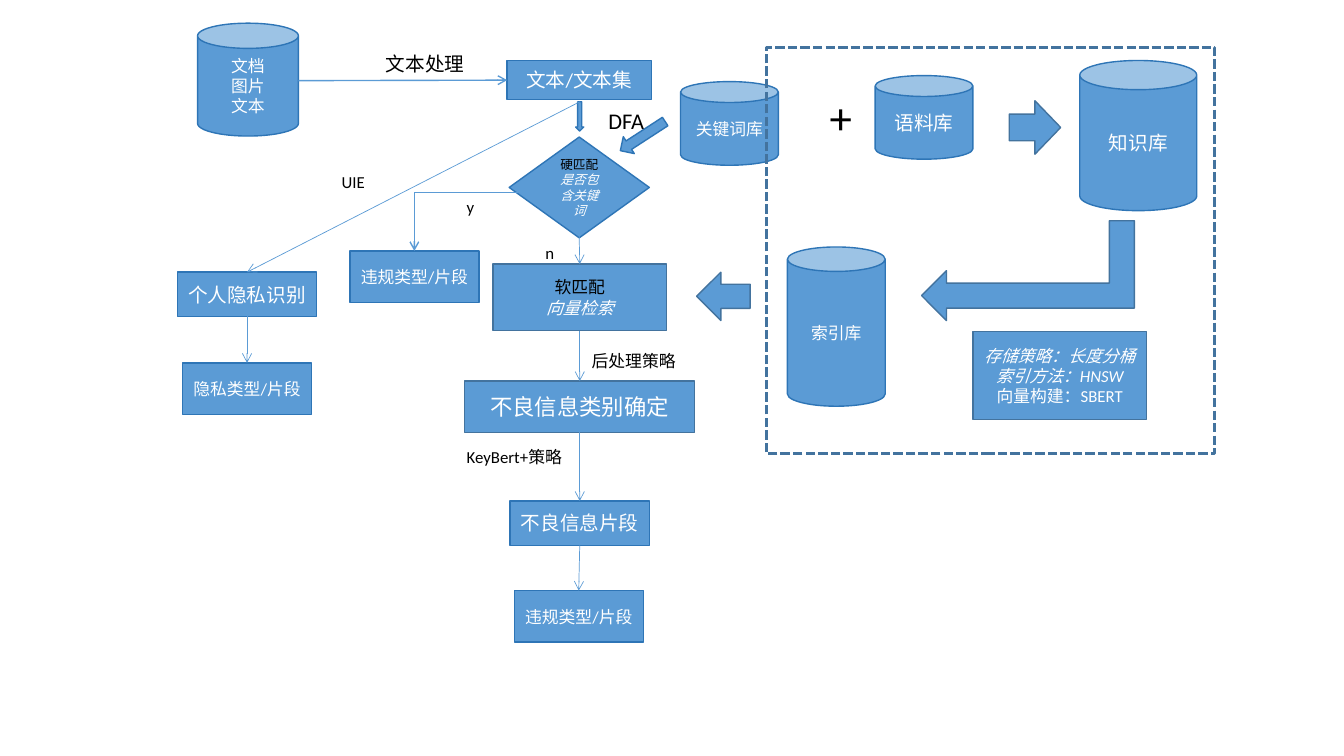
import pptx
import pptx.dml.color
import pptx.enum.dml
import pptx.enum.shapes
import pptx.enum.text
import pptx.oxml.ns
import pptx.util
from dataclasses import dataclass
from lxml import etree

PX = 9144  # EMU per px, 100 px to the inch
SHAPE = pptx.enum.shapes.MSO_SHAPE
TOP, LEFT, BOTTOM = 0, 1, 2


@dataclass(frozen=True)
class Theme:
    font: str = "Calibri"
    fill: str = "5B9BD5"
    edge: str = "2E75B6"
    dark_edge: str = "43739E"
    light_text: str = "FFFFFF"
    dark_text: str = "000000"
    tiny: int = 9
    small: int = 12
    medium: int = 14
    large: int = 16
    huge: int = 32
    thin: float = 0.5
    line: float = 1
    frame: float = 2.25


THEME = Theme()

# name: (preset, (left, top, width, height), edge, text size, lines)
# A line starting with "*" is dark, one starting with "/" is italic.
NODES = {
    "documents": (SHAPE.CAN, (196, 23, 100, 112), THEME.edge, THEME.small, ["文档", "图片", "文本"]),
    "text set": (SHAPE.RECTANGLE, (503, 60, 143, 39), THEME.edge, THEME.medium, ["文本/文本集"]),
    "hard match": (SHAPE.DIAMOND, (505, 136, 139, 100), THEME.edge, THEME.tiny,
                   ["*硬匹配", "/是否包含关键词"]),
    "keywords": (SHAPE.CAN, (675, 81, 97, 83), THEME.edge, THEME.small, ["关键词库"]),
    "hard violation": (SHAPE.RECTANGLE, (347, 249, 128, 51), THEME.edge, THEME.small,
                       ["违规类型/片段"]),
    "soft match": (SHAPE.RECTANGLE, (489, 262, 172, 66), THEME.dark_edge, THEME.small,
                   ["*软匹配", "/向量检索"]),
    "corpus": (SHAPE.CAN, (868, 75, 97, 83), THEME.edge, THEME.medium, ["语料库"]),
    "category": (SHAPE.RECTANGLE, (461, 378, 228, 51), THEME.dark_edge, THEME.large,
                 ["不良信息类别确定"]),
    "fragment": (SHAPE.RECTANGLE, (506, 497, 138, 44), THEME.edge, THEME.medium, ["不良信息片段"]),
    "soft violation": (SHAPE.RECTANGLE, (510, 586, 128, 51), THEME.edge, THEME.small,
                       ["违规类型/片段"]),
    "strategy": (SHAPE.RECTANGLE, (965, 329, 172, 87), THEME.dark_edge, THEME.small,
                 ["/存储策略：长度分桶", "/索引方法：HNSW", "向量构建：SBERT"]),
    "index": (SHAPE.CAN, (781, 245, 97, 158), THEME.edge, THEME.small, ["索引库"]),
    "knowledge": (SHAPE.CAN, (1071, 60, 116, 149), THEME.edge, THEME.medium, ["知识库"]),
    "privacy": (SHAPE.RECTANGLE, (176, 270, 138, 44), THEME.edge, THEME.medium, ["个人隐私识别"]),
    "privacy type": (SHAPE.RECTANGLE, (181, 360, 128, 51), THEME.edge, THEME.small,
                     ["隐私类型/片段"]),
}

# (preset, box, edge, rotation, flipped)
BLOCK_ARROWS = [
    (SHAPE.DOWN_ARROW, (571, 101, 8, 29), THEME.edge, 0, False),
    (SHAPE.LEFT_ARROW, (611, 125, 53, 20), THEME.edge, 327, False),
    (SHAPE.LEFT_ARROW, (691, 270, 53, 48), THEME.dark_edge, 0, False),
    (SHAPE.BENT_UP_ARROW, (970, 163, 99, 211), THEME.dark_edge, 270, True),
    (SHAPE.RIGHT_ARROW, (1001, 100, 51, 53), THEME.dark_edge, 0, False),
]

FRAME = (760, 47, 445, 403)

# (text, box, size, centred)
LABELS = [
    ("文本处理", (373, 47, 102, 34), THEME.medium, False),
    ("DFA", (579, 101, 84, 37), THEME.large, True),
    ("y", (453, 190, 40, 30), THEME.small, False),
    ("n", (531, 236, 40, 30), THEME.small, False),
    ("后处理策略", (577, 343, 151, 30), THEME.small, False),
    ("KeyBert+策略", (453, 438, 118, 30), THEME.small, False),
    ("+", (813, 84, 54, 64), THEME.huge, False),
    ("UIE", (329, 165, 60, 30), THEME.small, False),
]

# Each end is a point or (node, side).
STRAIGHT_LINKS = [
    ((296, 80), ("text set", LEFT), THEME.line),
    ((574, 210), ("soft match", TOP), THEME.thin),
    (("soft match", BOTTOM), ("category", TOP), THEME.thin),
    (("category", BOTTOM), ("fragment", TOP), THEME.thin),
    (("fragment", BOTTOM), ("soft violation", TOP), THEME.thin),
    (("privacy", BOTTOM), ("privacy type", TOP), THEME.thin),
    ((575, 101), ("privacy", TOP), THEME.thin),
]
YES_LINK = ((536, 191), (411, 249))


def emu(lengths):
    return [pptx.util.Emu(length * PX) for length in lengths]


def rgb(code):
    return pptx.dml.color.RGBColor.from_string(code)


def add_block(slide, preset, box, edge, width=THEME.line):
    shape = slide.shapes.add_shape(preset, *emu(box))
    shape.shadow.inherit = False
    shape.fill.solid()
    shape.fill.fore_color.rgb = rgb(THEME.fill)
    shape.line.color.rgb = rgb(edge)
    shape.line.width = pptx.util.Pt(width)
    return shape


def style_paragraph(paragraph, size, color, centred, italic=False):
    font = paragraph.font
    font.name = THEME.font
    font.size = pptx.util.Pt(size)
    font.color.rgb = rgb(color)
    font.italic = italic
    align = pptx.enum.text.PP_ALIGN
    paragraph.alignment = align.CENTER if centred else align.LEFT


def add_node(slide, preset, box, edge, size, lines):
    shape = add_block(slide, preset, box, edge)
    frame = shape.text_frame
    frame.word_wrap = True
    frame.vertical_anchor = pptx.enum.text.MSO_ANCHOR.MIDDLE
    frame.text = "\n".join(line.lstrip("*/") for line in lines)
    for paragraph, line in zip(frame.paragraphs, lines):
        color = THEME.dark_text if line.startswith("*") else THEME.light_text
        style_paragraph(paragraph, size, color, True, line.startswith("/"))
    return shape


def add_label(slide, text, box, size, centred):
    frame = slide.shapes.add_textbox(*emu(box)).text_frame
    frame.word_wrap = True
    frame.auto_size = pptx.enum.text.MSO_AUTO_SIZE.SHAPE_TO_FIT_TEXT
    frame.text = text
    style_paragraph(frame.paragraphs[0], size, THEME.dark_text, centred)


def add_arrow(slide, kind, begin, end, width):
    connector = slide.shapes.add_connector(kind, *emu(begin + end))
    connector.line.color.rgb = rgb(THEME.fill)
    connector.line.width = pptx.util.Pt(width)
    qn = pptx.oxml.ns.qn
    properties = connector._element.spPr
    etree.SubElement(properties.find(qn("a:ln")), qn("a:tailEnd"), type="arrow")
    etree.SubElement(properties, qn("a:effectLst"))
    return connector


def add_link(slide, nodes, begin, end, width):
    """Draw a straight arrow, joining each end that names a node."""
    kind = pptx.enum.shapes.MSO_CONNECTOR.STRAIGHT
    points = [(0, 0) if isinstance(place[0], str) else place for place in (begin, end)]
    connector = add_arrow(slide, kind, *points, width)
    for place, join in ((begin, connector.begin_connect), (end, connector.end_connect)):
        if isinstance(place[0], str):
            join(nodes[place[0]], place[1])


def main():
    presentation = pptx.Presentation()
    presentation.slide_width, presentation.slide_height = emu((1333, 750))
    slide = presentation.slides.add_slide(presentation.slide_layouts[6])

    nodes = {name: add_node(slide, *node) for name, node in NODES.items()}

    for preset, box, edge, rotation, flipped in BLOCK_ARROWS:
        arrow = add_block(slide, preset, box, edge)
        arrow.rotation = rotation
        if flipped:
            arrow._element.spPr.find(pptx.oxml.ns.qn("a:xfrm")).set("flipH", "1")

    frame = add_block(slide, SHAPE.RECTANGLE, FRAME, THEME.dark_edge, THEME.frame)
    frame.fill.background()
    frame.line.dash_style = pptx.enum.dml.MSO_LINE.SQUARE_DOT

    for label in LABELS:
        add_label(slide, *label)

    for begin, end, width in STRAIGHT_LINKS:
        add_link(slide, nodes, begin, end, width)
    elbow = add_arrow(slide, pptx.enum.shapes.MSO_CONNECTOR.ELBOW, *YES_LINK, THEME.line)
    elbow._element.spPr.find(pptx.oxml.ns.qn("a:prstGeom")).set("prst", "bentConnector2")

    presentation.save("out.pptx")


if __name__ == "__main__":
    main()
